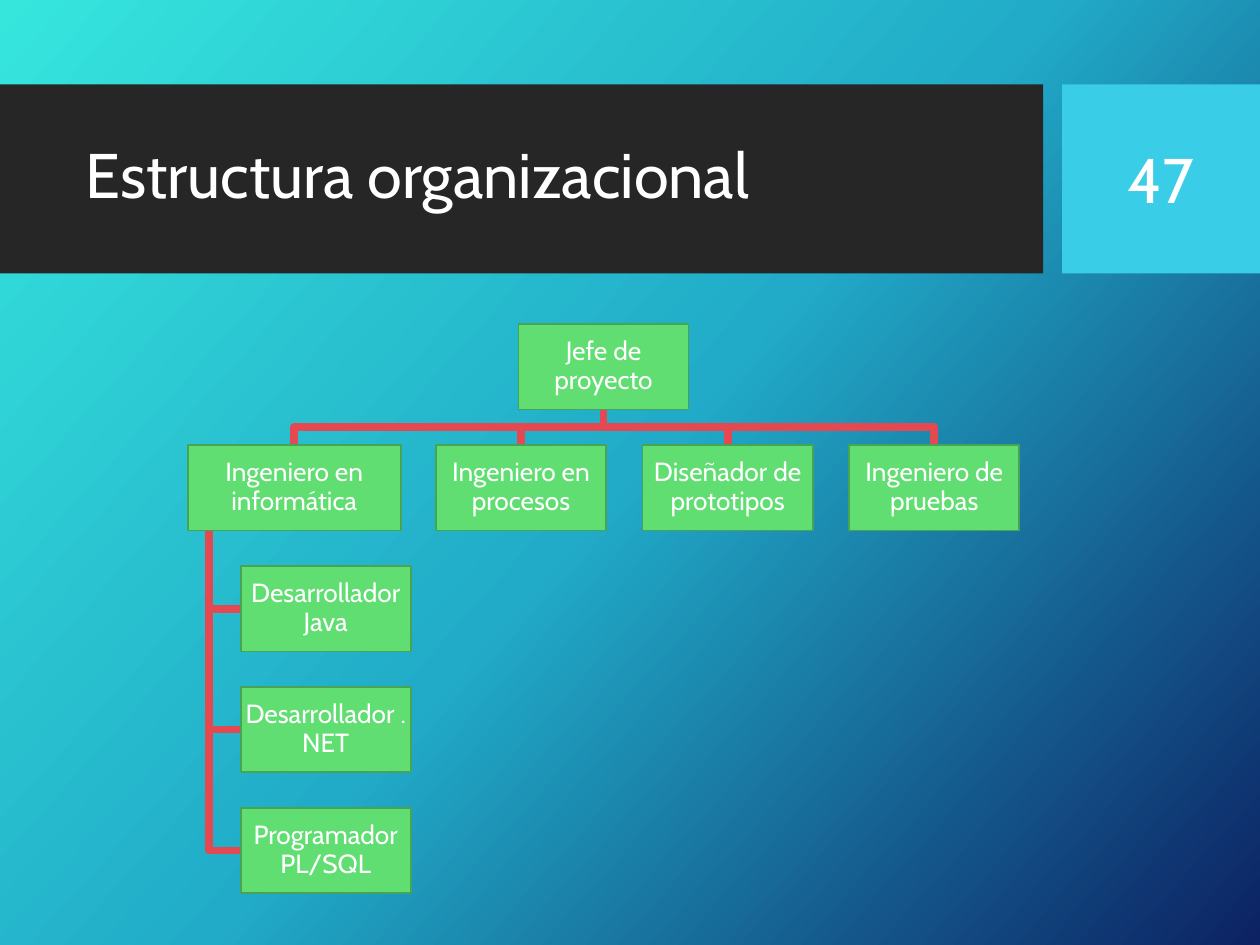
from copy import deepcopy
from pptx import Presentation
from pptx.dml.color import RGBColor
from pptx.enum.shapes import MSO_SHAPE
from pptx.enum.text import MSO_ANCHOR, PP_ALIGN
from pptx.util import Inches, Pt

TITLE = "Estructura organizacional"
NUMBER = "47"
BOSS = "Jefe de proyecto"
LEAD = "Ingeniero en informática"
PEERS = ["Ingeniero en procesos", "Diseñador de prototipos", "Ingeniero de pruebas"]
TEAM = ["Desarrollador Java", "Desarrollador .NET", "Programador PL/SQL"]
GRADIENT = [(0, "36E6DD"), (0.5, "21ABC8"), (1, "0C2263")]
DARK, CYAN, GREEN, EDGE, RED, WHITE = (
    "262626", "39CDE7", "60DE72", "47A454", "E44951", "FFFFFF")
FONT = "Cabin"

WIDE, BOX, HIGH = 1.69, 1.35, 0.68
LEFT, TOP, ROW = 1.49, 2.57, 0.96
PEER_X, STEP = 3.46, 1.64
TEAM_X, TRUNK = 1.91, 1.66
MID = 4.79


def color(code):
    return RGBColor.from_string(code)


def paint():
    """Fill the slide background with the diagonal gradient."""
    fill = slide.background.fill
    fill.gradient()
    fill.gradient_angle = 360 - 42
    stops = slide.element.xpath(".//a:gsLst")[0]
    stops.append(deepcopy(stops[-1]))
    for stop, (place, code) in zip(fill.gradient_stops, GRADIENT):
        stop.position = place
        stop.color.rgb = color(code)


def add_rect(x, y, w, h, fill, edge=None):
    rect = slide.shapes.add_shape(
        MSO_SHAPE.RECTANGLE, Inches(x), Inches(y), Inches(w), Inches(h))
    rect.shadow.inherit = False
    rect.fill.solid()
    rect.fill.fore_color.rgb = color(fill)
    if edge:
        rect.line.color.rgb = color(edge)
        rect.line.width = Pt(1)
    else:
        rect.line.fill.background()
    return rect


def write(shape, text, size, align, spacing=None):
    frame = shape.text_frame
    frame.text = text
    frame.word_wrap = True
    frame.vertical_anchor = MSO_ANCHOR.MIDDLE
    para = frame.paragraphs[0]
    para.alignment = align
    para.line_spacing = spacing
    font = para.runs[0].font
    font.name, font.size = FONT, Pt(size)
    font.color.rgb = color(WHITE)
    return frame


def add_label(x, y, w, h, text, align, spacing=None):
    box = slide.shapes.add_textbox(Inches(x), Inches(y), Inches(w), Inches(h))
    write(box, text, 36, align, spacing)


def add_role(x, level, text, w=BOX):
    rect = add_rect(x, TOP + level * ROW, w, HIGH, GREEN, EDGE)
    frame = write(rect, text, 15, PP_ALIGN.CENTER, 0.9)
    frame.margin_left = frame.margin_right = Inches(0.01)
    frame.margin_top = frame.margin_bottom = Inches(0.01)


def add_link(*points):
    """Draw an open bent line through the points."""
    start, *rest = [(Inches(x), Inches(y)) for x, y in points]
    path = slide.shapes.build_freeform(*start)
    path.add_line_segments(rest, close=False)
    link = path.convert_to_shape()
    link.shadow.inherit = False
    link.fill.background()
    link.line.color.rgb = color(RED)
    link.line.width = Pt(4.5)


deck = Presentation()
deck.slide_width, deck.slide_height = Inches(10), Inches(7.5)
slide = deck.slides.add_slide(deck.slide_layouts[6])
paint()

add_rect(0, 0.67, 8.28, 1.5, DARK)
add_rect(8.43, 0.67, 1.57, 1.5, CYAN)
add_label(0.58, 0.82, 7.54, 1.18, TITLE, PP_ALIGN.LEFT, 0.9)
add_label(8.58, 0.82, 1.27, 1.19, NUMBER, PP_ALIGN.CENTER)

peers = [(PEER_X + i * STEP, text) for i, text in enumerate(PEERS)]
team = list(enumerate(TEAM, start=2))

foot, head = TOP + HIGH, TOP + ROW
bend = (foot + head) / 2
for x in [LEFT + WIDE / 2] + [x + BOX / 2 for x, _ in peers]:
    add_link((MID, foot), (MID, bend), (x, bend), (x, head))
for level, _ in team:
    y = TOP + level * ROW + HIGH / 2
    add_link((TRUNK, head + HIGH), (TRUNK, y), (TEAM_X, y))

add_role(MID - BOX / 2, 0, BOSS)
add_role(LEFT, 1, LEAD, WIDE)
for level, text in team:
    add_role(TEAM_X, level, text)
for x, text in peers:
    add_role(x, 1, text)

deck.save("out.pptx")
